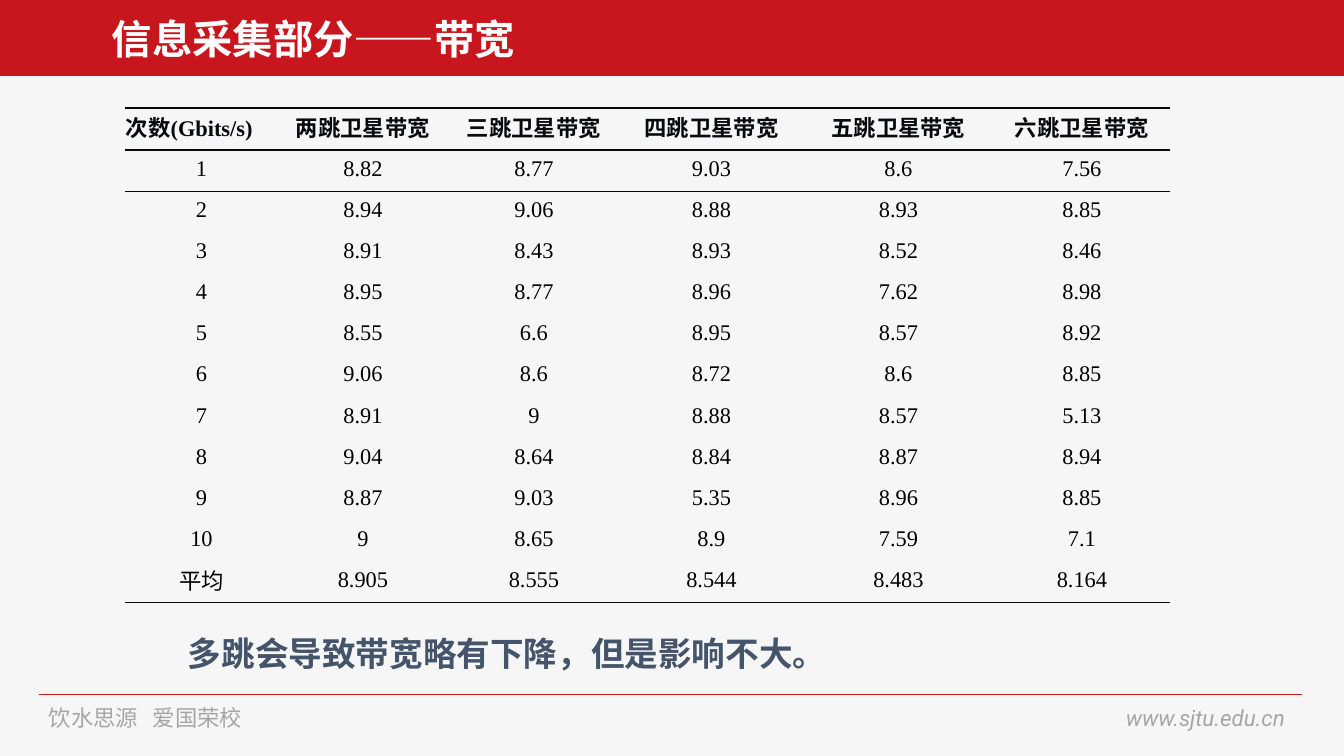
"""Build the satellite bandwidth slide with its table of measurements."""
from lxml import etree
from pptx import Presentation
from pptx import util as u
from pptx.dml.color import RGBColor
from pptx.enum import shapes, text
from pptx.oxml.ns import qn

RED, INK, GREY, PALE = "C8161E", "08090C", "A6A6A6", "F6F6F6"
MID = text.MSO_ANCHOR.MIDDLE


def px(n):
    return u.Emu(round(n * 914400 / 100.8))


def write(frame, words, size=16, face="Roboto", color=GREY, bold=False,
          italic=False, center=False, stop=None):
    para = frame.paragraphs[0]
    if center:
        para.alignment = text.PP_ALIGN.CENTER
    if stop:
        tabs = etree.SubElement(para._p.get_or_add_pPr(), qn("a:tabLst"))
        etree.SubElement(tabs, qn("a:tab"), pos=str(px(stop)), algn="l")
    run = para.add_run()
    run.text = words
    font = run.font
    font.size, font.name = u.Pt(size), face
    font.bold, font.italic = bold, italic
    font.color.rgb = RGBColor.from_string(color)
    etree.SubElement(run._r.get_or_add_rPr(), qn("a:ea"), typeface="Noto Sans CJK SC")


deck = Presentation()
deck.slide_width, deck.slide_height = px(1344), px(756)
slide = deck.slides.add_slide(deck.slide_layouts[6])
back = slide.background.fill
back.solid()
back.fore_color.rgb = RGBColor.from_string(PALE)

band = slide.shapes.add_shape(shapes.MSO_SHAPE.RECTANGLE, 0, 0, px(1344), px(76))
band.shadow.inherit = False
band.fill.solid()
band.fill.fore_color.rgb = RGBColor.from_string(RED)
band.line.fill.background()

rule = slide.shapes.add_connector(shapes.MSO_CONNECTOR.STRAIGHT,
                                  px(39), px(694), px(1302), px(694))
rule.line.color.rgb = RGBColor.from_string(RED)
rule.line.width = u.Pt(0.5)
etree.SubElement(rule.element.spPr, qn("a:effectLst"))

labels = [
    ((1116, 699, 186, 37), "www.sjtu.edu.cn", MID, dict(italic=True)),
    ((39, 699, 245, 37), "饮水思源\t爱国荣校", MID, dict(stop=104)),
    ((102, 9, 760, 59), "信息采集部分——带宽", MID,
     dict(size=28.8, color="FFFFFF", bold=True)),
    ((178, 628, 1113, 50), "多跳会导致带宽略有下降，但是影响不大。", text.MSO_ANCHOR.TOP,
     dict(size=24, face="Noto Sans CJK SC", color="44546A", bold=True)),
]
for place, words, anchor, look in labels:
    frame = slide.shapes.add_textbox(*map(px, place)).text_frame
    frame.word_wrap = True
    frame.vertical_anchor = anchor
    write(frame, words, **look)

rows = [
    ["次数(Gbits/s)"] + [f"{hop}跳卫星带宽" for hop in "两三四五六"],
    ["1", "8.82", "8.77", "9.03", "8.6", "7.56"],
    ["2", "8.94", "9.06", "8.88", "8.93", "8.85"],
    ["3", "8.91", "8.43", "8.93", "8.52", "8.46"],
    ["4", "8.95", "8.77", "8.96", "7.62", "8.98"],
    ["5", "8.55", "6.6", "8.95", "8.57", "8.92"],
    ["6", "9.06", "8.6", "8.72", "8.6", "8.85"],
    ["7", "8.91", "9", "8.88", "8.57", "5.13"],
    ["8", "9.04", "8.64", "8.84", "8.87", "8.94"],
    ["9", "8.87", "9.03", "5.35", "8.96", "8.85"],
    ["10", "9", "8.65", "8.9", "7.59", "7.1"],
    ["平均", "8.905", "8.555", "8.544", "8.483", "8.164"],
]
widths = [153, 170, 172, 183, 191, 176]
last = len(rows) - 1
edges = {0: ["lnT", "lnB"], 1: ["lnT"], last: ["lnB"]}

holder = slide.shapes.add_table(len(rows), len(widths), px(125), px(108),
                                px(sum(widths)), px(495))
holder.element.find(".//" + qn("a:tableStyleId")).text = "{2D5ABB26-0587-4C30-8999-92F81FD0307C}"
table = holder.table
table.horz_banding = False
for col, width in zip(table.columns, widths):
    col.width = px(width)

for r, values in enumerate(rows):
    head = r == 0
    table.rows[r].height = px(42) if head else px(453) // last
    for c, value in enumerate(values):
        cell = table.cell(r, c)
        cell.margin_left = cell.margin_top = cell.margin_right = px(1)
        cell.margin_bottom = px(5)
        cell.vertical_anchor = MID
        write(cell.text_frame, value, face="Times New Roman", bold=head,
              color=INK if head else "000000", center=not head or c > 0)
        for side in edges.get(r, []):
            edge = etree.SubElement(cell._tc.get_or_add_tcPr(), qn("a:" + side),
                                    w=str(u.Pt(1)))
            paint = etree.SubElement(edge, qn("a:solidFill"))
            etree.SubElement(paint, qn("a:srgbClr"), val=INK)
        if head or c % 2:
            cell.fill.background()
        else:
            cell.fill.solid()
            cell.fill.fore_color.rgb = RGBColor.from_string(PALE)

deck.save("out.pptx")
